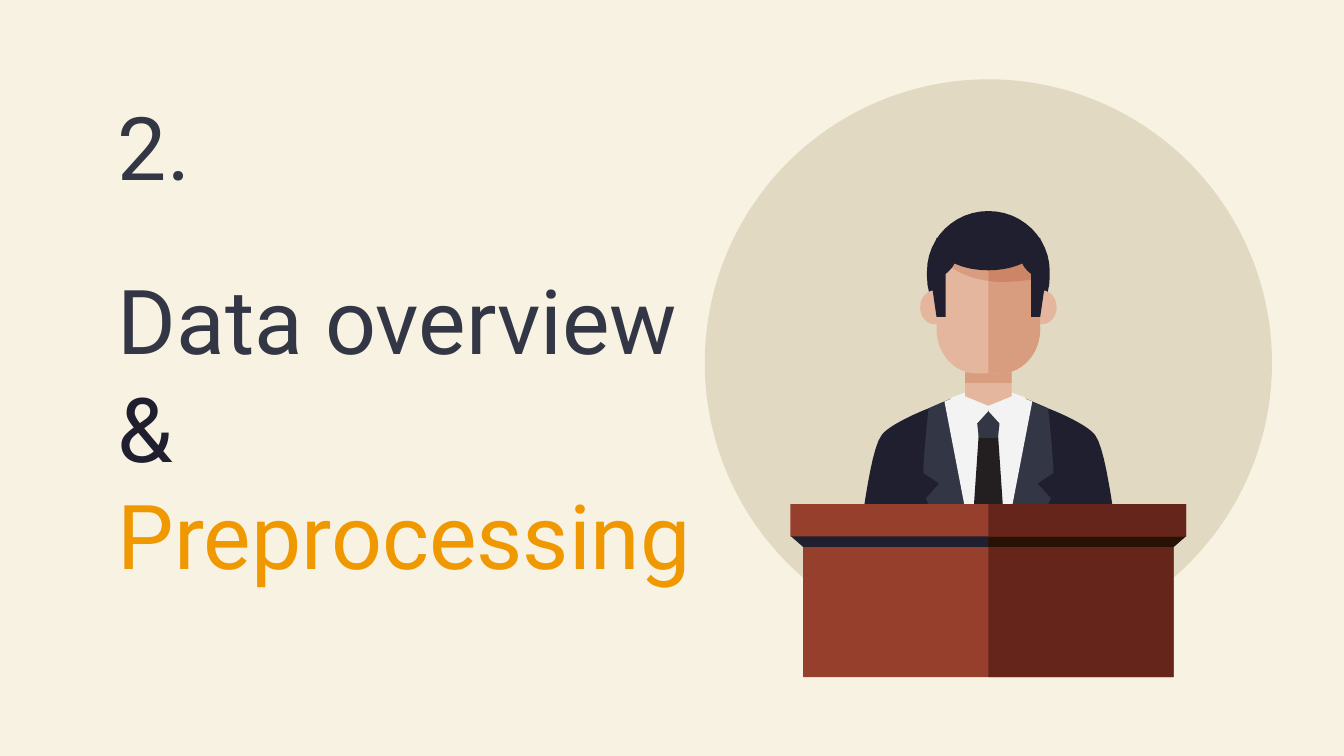
import pptx
import pptx.dml.color
import pptx.enum.shapes
import pptx.enum.text
import pptx.util
from dataclasses import dataclass

Cm = pptx.util.Cm
SHAPE = pptx.enum.shapes.MSO_SHAPE
ANCHOR = pptx.enum.text.MSO_ANCHOR


@dataclass(frozen=True)
class Theme:
    """Font, type sizes in points and colours of the slide."""
    font: str = "Roboto"
    title_size: int = 48
    number_size: int = 47
    paper: str = "F7F2E2"
    disc: str = "E2D9C3"
    slate: str = "333644"
    navy: str = "201F2F"
    accent: str = "F09800"
    shirt: str = "F3F3F3"
    tie: str = "231F20"
    skin: str = "E4B69D"
    skin_shade: str = "D89C7F"
    brow_shade: str = "CC8566"
    wood: str = "953F2C"
    wood_shade: str = "65251A"
    ledge_shade: str = "291205"


THEME = Theme()
AXIS = 18.68


def rgb(color):
    """Return a colour object for a hex string."""
    return pptx.dml.color.RGBColor.from_string(color)


def paint(sp, color):
    """Give a shape a flat fill with no line or shadow."""
    sp.shadow.inherit = False
    sp.fill.solid()
    sp.fill.fore_color.rgb = rgb(color)
    sp.line.fill.background()


def add_preset(shapes, kind, left, top, width, height, color):
    """Add a preset shape whose left edge is measured from the axis."""
    sp = shapes.add_shape(kind, Cm(AXIS + left), Cm(top), Cm(width), Cm(height))
    paint(sp, color)


def flatten(path, steps=12):
    """Turn points and six-number Bezier curves into plain points."""
    points = []
    for item in path:
        if len(item) == 2:
            points.append(item)
            continue
        curve = (points[-1], item[:2], item[2:4], item[4:])
        for i in range(1, steps + 1):
            t = i / steps
            weights = ((1 - t) ** 3, 3 * t * (1 - t) ** 2, 3 * t * t * (1 - t), t ** 3)
            points.append(tuple(sum(w * c[k] for w, c in zip(weights, curve)) for k in (0, 1)))
    return points


def mirror(points):
    """Reflect points across the axis."""
    return [(-x, y) for x, y in points]


def add_outline(shapes, points, color):
    """Add a closed freeform from points measured from the axis."""
    pts = [(Cm(AXIS + x), Cm(y)) for x, y in points]
    builder = shapes.build_freeform(*pts[0], scale=1.0)
    builder.add_line_segments(pts[1:], close=True)
    paint(builder.convert_to_shape(), color)


def add_symmetric(shapes, half, color):
    """Add an outline described by its right half, top to bottom."""
    right = flatten(half)
    add_outline(shapes, right + mirror(right)[::-1], color)


def fill_placeholder(sp, box, insets, anchor, size, paragraphs):
    """Place a placeholder and write its paragraphs of coloured runs."""
    sp.left, sp.top, sp.width, sp.height = (Cm(v) for v in box)
    tf = sp.text_frame
    tf.word_wrap = True
    tf.auto_size = pptx.enum.text.MSO_AUTO_SIZE.NONE
    tf.vertical_anchor = anchor
    tf.margin_left, tf.margin_top, tf.margin_right, tf.margin_bottom = (Cm(v) for v in insets)
    for i, runs in enumerate(paragraphs):
        p = tf.add_paragraph() if i else tf.paragraphs[0]
        p.alignment = pptx.enum.text.PP_ALIGN.LEFT
        p.space_before = pptx.util.Pt(0)
        for text, color in runs:
            r = p.add_run()
            r.text = text
            r.font.name = THEME.font
            r.font.size = pptx.util.Pt(size)
            r.font.color.rgb = rgb(color)


def add_suit(shapes):
    """Draw the jacket, lapels, shirt, tie, collar and neck."""
    shoulder = [(0.33, 7.39), (0.83, 7.59), (1.13, 7.72)]
    add_symmetric(shapes, shoulder + [(1.51, 7.87, 1.92, 8.08, 2.02, 8.23),
                                      (2.25, 8.51, 2.45, 10.36, 2.45, 10.36)], THEME.navy)
    add_symmetric(shapes, shoulder + [(1.16, 8, 1.23, 8.69, 1.23, 8.94), (0.93, 9.14),
                                      (1.18, 9.42), (0.78, 10.36)], THEME.slate)
    hem = [(0.32, 10.24), (0.29, 10.36)]
    add_symmetric(shapes, shoulder[:2] + hem, THEME.shirt)
    add_symmetric(shapes, [(0.18, 8.18)] + hem, THEME.tie)
    add_symmetric(shapes, [(0.24, 7.75), (0.18, 8.28)], THEME.slate)
    collar = [(0.44, 7.42), (0, 7.59), (0, 7.77), (0.3, 8.1), (0.71, 7.52)]
    for side in (mirror(collar), collar):
        add_outline(shapes, side, THEME.shirt)
    add_symmetric(shapes, [(0.44, 6.86), (0.44, 7.49), (0, 7.67)], THEME.skin)
    add_preset(shapes, SHAPE.RECTANGLE, -0.44, 7.04, 0.88, 0.2, THEME.skin_shade)


def add_head(shapes):
    """Draw the hair, ears and shaded face."""
    add_symmetric(shapes, [(0, 3.99), (0.64, 3.99, 1.16, 4.5, 1.16, 5.13), (1.16, 5.23),
                           (1.16, 5.87, 0.64, 6.38, 0, 6.38)], THEME.navy)
    for center in (-1.02, 1.02):
        add_preset(shapes, SHAPE.OVAL, center - 0.27, 5.49, 0.54, 0.64, THEME.skin)
    add_symmetric(shapes, [(0.98, 4.65), (0.98, 6.22), (0.98, 6.68, 0.65, 7.06, 0.22, 7.06)],
                  THEME.skin)
    add_outline(shapes, flatten([(-0.93, 4.65), (-0.93, 4.85), (-0.93, 4.85, -0.65, 5.23, 0, 5.31),
                                 (0, 4.65)]), THEME.skin_shade)
    brow = flatten([(0.98, 4.65), (0.98, 5.26), (0.7, 5.31, 0.47, 5.33, 0.27, 5.33),
                    (0.18, 5.33, 0.09, 5.33, 0, 5.31)])
    jaw = flatten([(0, 7.06), (0.22, 7.06), (0.65, 7.06, 0.98, 6.68, 0.98, 6.22)])
    add_outline(shapes, brow + jaw, THEME.skin_shade)
    add_outline(shapes, brow + [(0, 4.65)], THEME.brow_shade)
    add_symmetric(shapes, [(0, 4.27), (0.3, 4.27, 0.87, 4.5, 0.98, 4.5), (1.05, 4.95),
                           (1.05, 5.51), (0.98, 5.99), (0.81, 5.99), (0.81, 5.18),
                           (0.74, 5.13, 0.67, 5.05, 0.64, 4.98),
                           (0.5, 5.05, 0.27, 5.11, 0, 5.11)], THEME.navy)


def add_block(shapes, half_width, top, height):
    """Draw a wooden block with its right half in shade."""
    add_preset(shapes, SHAPE.RECTANGLE, -half_width, top, 2 * half_width, height, THEME.wood)
    add_preset(shapes, SHAPE.RECTANGLE, 0, top, half_width, height, THEME.wood_shade)


def add_podium(shapes):
    """Draw the base, ledge and top of the podium."""
    add_block(shapes, 3.5, 10.29, 2.51)
    ledge = [(3.74, 10.13), (3.5, 10.34)]
    add_symmetric(shapes, [(2.53, 9.96)] + ledge, THEME.navy)
    add_outline(shapes, [(0, 10.13)] + ledge + [(0, 10.34)], THEME.ledge_shade)
    add_block(shapes, 3.74, 9.53, 0.61)


def main():
    """Build the section slide and save it."""
    prs = pptx.Presentation()
    prs.slide_width, prs.slide_height = Cm(25.4), Cm(14.29)
    s = prs.slides.add_slide(prs.slide_layouts[0])
    s.background.fill.solid()
    s.background.fill.fore_color.rgb = rgb(THEME.paper)
    title, number = s.placeholders
    fill_placeholder(title, (1.98, 4.95, 12.22, 5.72), (0.25, 0.51, 0.25, 0), ANCHOR.MIDDLE,
                     THEME.title_size,
                     [[("Data overview ", THEME.slate), ("&", THEME.navy)],
                      [("Preprocessing", THEME.accent)]])
    fill_placeholder(number, (1.98, 1.5, 6.02, 2.01), (0.25,) * 4, ANCHOR.TOP,
                     THEME.number_size, [[("2.", THEME.slate)]])
    shapes = s.shapes.add_group_shape().shapes
    add_preset(shapes, SHAPE.OVAL, -5.36, 1.5, 10.72, 10.72, THEME.disc)
    add_suit(shapes)
    add_head(shapes)
    add_podium(shapes)
    prs.save("out.pptx")


if __name__ == "__main__":
    main()
